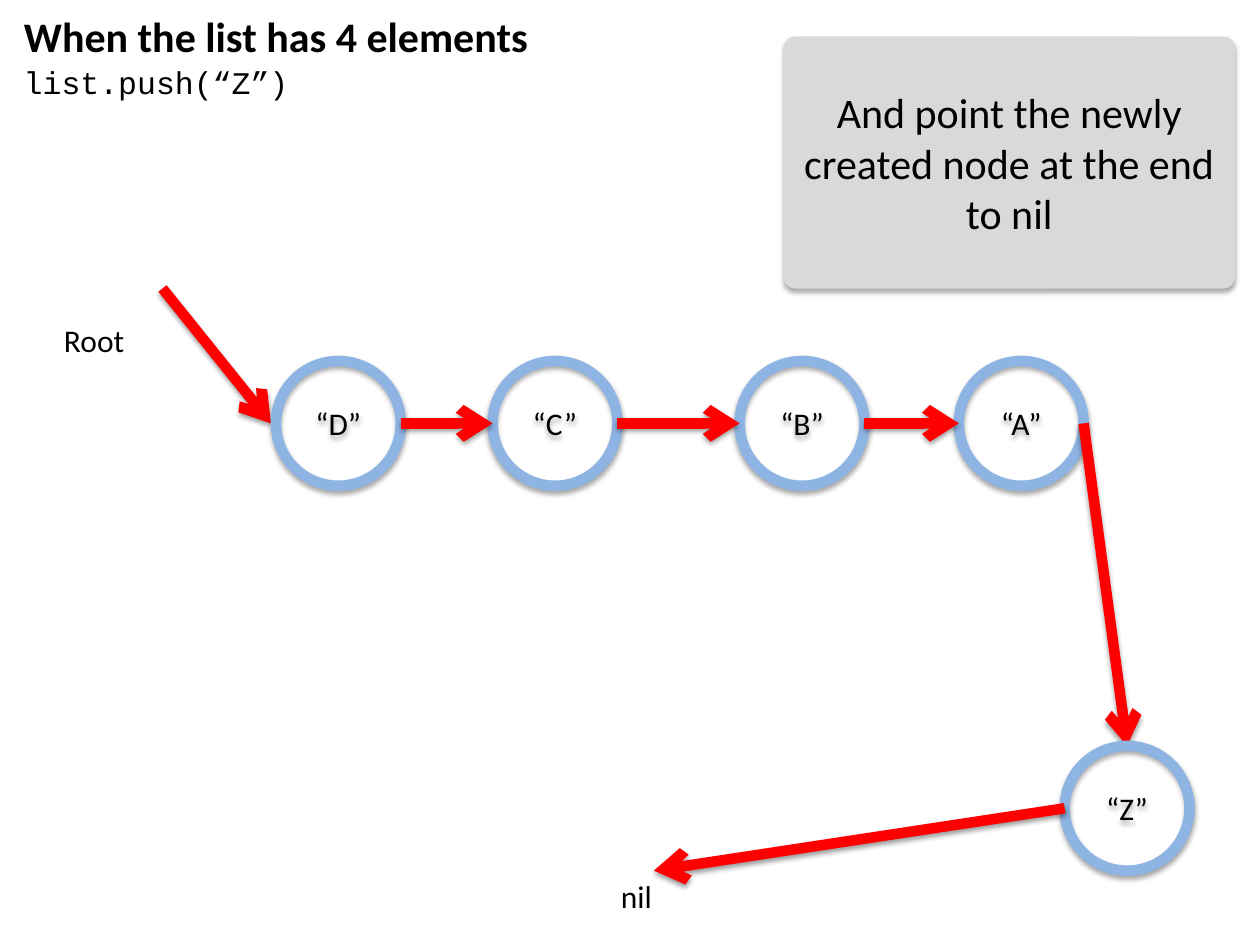
from dataclasses import dataclass

import lxml.etree
import pptx
import pptx.dml.color
import pptx.enum.shapes
import pptx.enum.text
import pptx.oxml.ns
import pptx.util
from pptx.util import Inches


@dataclass(frozen=True)
class Theme:
    ink: str = "000000"
    panel: str = "D9D9D9"
    ring: str = "8EB4E3"
    arrow: str = "FF0000"
    font: str = "Calibri"
    code_font: str = "Courier New"
    large: float = 24
    normal: float = 18
    stroke: float = 6


THEME = Theme()
ALIGN = pptx.enum.text.PP_ALIGN
ANCHOR = pptx.enum.text.MSO_ANCHOR
SHAPES = pptx.enum.shapes.MSO_SHAPE


def color(value):
    return pptx.dml.color.RGBColor.from_string(value)


def write_text(shape, text, size=THEME.normal, font=THEME.font, bold=False,
               align=ALIGN.LEFT, anchor=ANCHOR.TOP):
    frame = shape.text_frame
    frame.word_wrap = True
    frame.auto_size = pptx.enum.text.MSO_AUTO_SIZE.NONE
    frame.vertical_anchor = anchor
    frame.margin_left = frame.margin_right = Inches(0.1)
    frame.margin_top = frame.margin_bottom = Inches(0.05)
    paragraph = frame.paragraphs[0]
    paragraph.alignment = align
    run = paragraph.add_run()
    run.text = text
    run.font.name = font
    run.font.size = pptx.util.Pt(size)
    run.font.bold = bold
    run.font.color.rgb = color(THEME.ink)


def add_label(slide, box, text, **text_format):
    write_text(slide.shapes.add_textbox(*map(Inches, box)), text, **text_format)


def add_shadow(shape, distance, opacity):
    qualify = pptx.oxml.ns.qn
    properties = shape._element.spPr
    for effects in properties.findall(qualify("a:effectLst")):
        properties.remove(effects)
    effects = lxml.etree.SubElement(properties, qualify("a:effectLst"))
    shadow = lxml.etree.SubElement(
        effects, qualify("a:outerShdw"), blurRad=str(pptx.util.Pt(3.1)),
        dist=str(pptx.util.Pt(distance)), dir="5400000", rotWithShape="0")
    shade = lxml.etree.SubElement(shadow, qualify("a:srgbClr"), val=THEME.ink)
    lxml.etree.SubElement(shade, qualify("a:alpha"), val=str(opacity * 1000))


def add_arrow(slide, start, end):
    connector = slide.shapes.add_connector(
        pptx.enum.shapes.MSO_CONNECTOR.STRAIGHT, *map(Inches, (*start, *end)))
    connector.line.color.rgb = color(THEME.arrow)
    connector.line.width = pptx.util.Pt(THEME.stroke)
    lxml.etree.SubElement(connector.line._get_or_add_ln(),
                          pptx.oxml.ns.qn("a:tailEnd"), type="arrow")
    add_shadow(connector, distance=1.6, opacity=38)


def add_node(slide, box, text):
    node = slide.shapes.add_shape(SHAPES.OVAL, *map(Inches, box))
    node.fill.background()
    node.line.color.rgb = color(THEME.ring)
    node.line.width = pptx.util.Pt(THEME.stroke)
    add_shadow(node, distance=1.8, opacity=35)
    write_text(node, text, align=ALIGN.CENTER, anchor=ANCHOR.MIDDLE)


def add_heading(slide, box):
    left, top, width, height = box
    title = slide.shapes.title
    title.left, title.top, title.width, title.height = map(Inches, (left, top, 4.44, 0.5))
    write_text(title, "When the list has 4 elements", size=THEME.large, bold=True)
    add_label(slide, (left, top + 0.42, width, height - 0.42), "list.push(“Z”)",
              font=THEME.code_font)


def add_explanation(slide, box):
    panel = slide.shapes.add_shape(SHAPES.ROUNDED_RECTANGLE, *map(Inches, box))
    panel.adjustments[0] = 0.045
    panel.fill.solid()
    panel.fill.fore_color.rgb = color(THEME.panel)
    panel.line.fill.background()
    add_shadow(panel, distance=1.8, opacity=35)
    write_text(panel, "And point the newly created node at the end to nil",
               size=THEME.large, align=ALIGN.CENTER, anchor=ANCHOR.MIDDLE)


def add_linked_list(slide, box):
    left, top, width, height = box
    size = 0.99
    middle = top + 1.07
    row_top = middle - size / 2
    nodes = [("“D”", left + 1.78), ("“C”", left + 3.5),
             ("“B”", left + 5.46), ("“A”", left + 7.2)]
    new_left = left + width - size
    new_top = top + height - 2 * size + 0.59

    add_label(slide, (left, top + 0.21, 0.84, 0.4), "Root")
    add_arrow(slide, (left + 0.88, top), (left + 1.74, middle))
    for text, node_left in nodes:
        add_node(slide, (node_left, row_top, size, size), text)
    for (_, source), (_, target) in zip(nodes, nodes[1:]):
        add_arrow(slide, (source + size, middle), (target, middle))

    add_arrow(slide, (nodes[-1][1] + size, middle), (new_left + size / 2, new_top))
    add_node(slide, (new_left, new_top, size, size), "“Z”")
    nil_top = new_top + size
    add_label(slide, (left + 4.42, nil_top, 0.71, 0.4), "nil")
    add_arrow(slide, (new_left, new_top + size / 2), (left + 4.78, nil_top))


def main():
    presentation = pptx.Presentation()
    presentation.slide_width = Inches(10)
    presentation.slide_height = Inches(7.5)
    slide = presentation.slides.add_slide(presentation.slide_layouts.get_by_name("Title Only"))
    add_heading(slide, (0.09, 0.03, 8.16, 0.82))
    add_explanation(slide, (6.22, 0.29, 3.58, 2))
    add_linked_list(slide, (0.41, 2.29, 9.03, 5.02))
    presentation.save("out.pptx")


if __name__ == "__main__":
    main()
